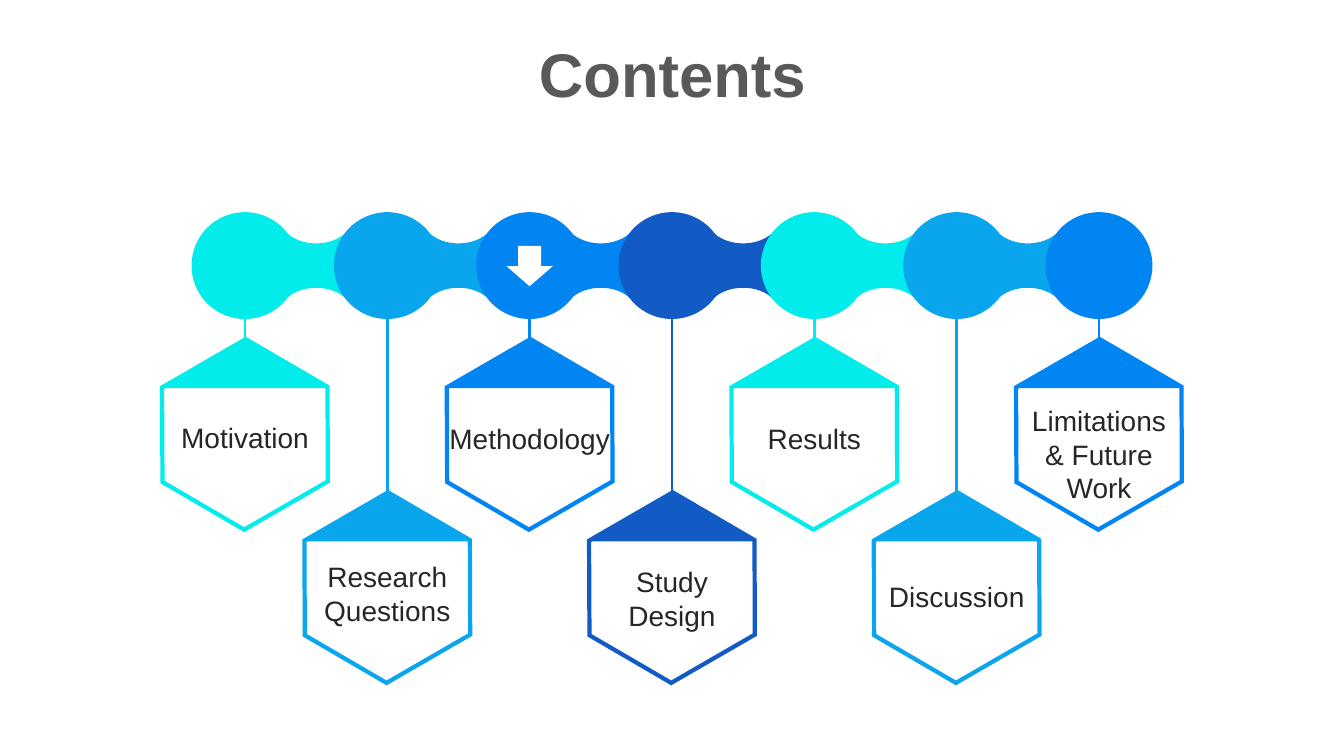
"""Build the contents slide: a chain of seven circles with hanging hexagon labels."""
from lxml import etree
from pptx import Presentation
from pptx import util as u
from pptx.dml.color import RGBColor
from pptx.enum import shapes, text
from pptx.oxml.ns import qn

CYAN = RGBColor(0x02, 0xEC, 0xEC)
SKY = RGBColor(0x0A, 0xA6, 0xED)
AZURE = RGBColor(0x00, 0x85, 0xF2)
NAVY = RGBColor(0x12, 0x5A, 0xC4)
WHITE = RGBColor(0xFF, 0xFF, 0xFF)
INK = RGBColor(0x26, 0x26, 0x26)
GREY = RGBColor(0x59, 0x59, 0x59)

FIRST_COLUMN, LAST_COLUMN = 2.43, 10.9
CHAIN_ROW = 2.635
FIRST_ROW, ROW = 4.31, 1.52
LABEL_FONT = {"name": "Arial", "size": u.Pt(20)}
TITLE_FONT = {"name": "Arial", "size": u.Pt(44), "bold": True}

NECK_TOP = [(-0.43, -0.39), (-0.35, -0.39), (-0.31, -0.34),
            (-0.23, -0.26), (-0.12, -0.22), (0, -0.22),
            (0.12, -0.22), (0.23, -0.26), (0.31, -0.34),
            (0.35, -0.39), (0.43, -0.39)]
NECK_CURVES = (2, 5, 13, 16)

TOPICS = [
    ("Motivation", CYAN, 1, 1.65, 0.03),
    ("Research Questions", SKY, 2, 1.62, 0.06),
    ("Methodology", AZURE, 1, 1.81, 0.04),
    ("Study Design", NAVY, 2, 1.62, 0.11),
    ("Results", CYAN, 1, 1.62, 0.04),
    ("Discussion", SKY, 1, 1.62, 0.09),
    ("Limitations & Future Work", AZURE, 3, 1.62, 0.2),
]


def column_x(column):
    """Return the centre of a column in inches."""
    return FIRST_COLUMN + column * (LAST_COLUMN - FIRST_COLUMN) / (len(TOPICS) - 1)


def row_y(column):
    """Return the centre of the hexagon row used by a column."""
    return FIRST_ROW + column % 2 * ROW


def centred(x, y, width, height):
    """Return left, top, width and height of a box around a centre."""
    return [u.Inches(v) for v in (x - width / 2, y - height / 2, width, height)]


def set_format(target, values):
    """Set each attribute named in values."""
    for name, value in values.items():
        setattr(target, name, value)


def paint(shape, fill, line=None):
    """Give a shape a flat fill and an optional sharp-cornered outline."""
    shape.shadow.inherit = False
    shape.fill.solid()
    shape.fill.fore_color.rgb = fill
    if line is None:
        shape.line.fill.background()
    else:
        shape.line.color.rgb = line
        shape.line.width = u.Pt(3)
        etree.SubElement(shape.line._get_or_add_ln(), qn("a:miter"), lim="800000")


def add_preset(slide, kind, box, fill, line=None):
    """Add a painted preset shape."""
    shape = slide.shapes.add_shape(kind, *box)
    paint(shape, fill, line)
    return shape


def add_neck(slide, column, color):
    """Add the waisted link between a circle and the next one."""
    outline = NECK_TOP + [(-x, -y) for x, y in NECK_TOP]
    middle = column_x(column + 0.5)
    points = [(u.Inches(middle + x), u.Inches(CHAIN_ROW + y)) for x, y in outline]
    builder = slide.shapes.build_freeform(*points[0])
    builder.add_line_segments(points[1:], close=True)
    neck = builder.convert_to_shape()
    segments = list(neck._element.iter(qn("a:lnTo")))
    for start in NECK_CURVES:
        curve = etree.Element(qn("a:cubicBezTo"))
        segments[start].addprevious(curve)
        for segment in segments[start:start + 3]:
            curve.append(segment[0])
            segment.getparent().remove(segment)
    paint(neck, color)


def add_stem(slide, column, color):
    """Add the line from a circle down to its hexagon."""
    x = u.Inches(column_x(column))
    stem = slide.shapes.add_connector(
        shapes.MSO_CONNECTOR.STRAIGHT, x, u.Inches(3.14),
        x, u.Inches(row_y(column) - 0.81))
    stem.line.color.rgb = color
    stem.line.width = u.Pt(2)
    etree.SubElement(stem.line._get_or_add_ln(), qn("a:tailEnd"), type="oval")
    etree.SubElement(stem._element.spPr, qn("a:effectLst"))


def add_hexagon(slide, column, color):
    """Add an outlined hexagon with its filled roof."""
    x, y = column_x(column), row_y(column)
    hexagon = add_preset(slide, shapes.MSO_SHAPE.HEXAGON,
                         centred(x, y, 1.89, 1.63), WHITE, color)
    hexagon.adjustments[0] = 0.286
    hexagon.rotation = 330
    add_preset(slide, shapes.MSO_SHAPE.ISOSCELES_TRIANGLE,
               centred(x, y - 0.7, 1.52, 0.44), color, color)


def add_label(slide, column, wording, lines, width, drop):
    """Add the centred topic name inside a hexagon."""
    height = 0.44 + 0.335 * (lines - 1)
    box = centred(column_x(column), row_y(column) + drop, width, height)
    frame = slide.shapes.add_textbox(*box).text_frame
    set_format(frame, {"word_wrap": True, "text": wording,
                       "auto_size": text.MSO_AUTO_SIZE.SHAPE_TO_FIT_TEXT})
    paragraph = frame.paragraphs[0]
    paragraph.alignment = text.PP_ALIGN.CENTER
    set_format(paragraph.font, LABEL_FONT)
    paragraph.font.color.rgb = INK


def add_title(slide, wording):
    """Place and format the slide title."""
    title = slide.shapes.title
    box = centred(6.67, 0.765, 12.66, 0.79)
    set_format(title, dict(zip(("left", "top", "width", "height"), box)))
    set_format(title.text_frame, {"text": wording, "word_wrap": True,
                                  "auto_size": text.MSO_AUTO_SIZE.NONE,
                                  "vertical_anchor": text.MSO_ANCHOR.MIDDLE})
    paragraph = title.text_frame.paragraphs[0]
    set_format(paragraph, {"alignment": text.PP_ALIGN.CENTER, "line_spacing": 0.9})
    set_format(paragraph.font, TITLE_FONT)
    paragraph.font.color.rgb = GREY


def main():
    """Build and save the slide."""
    deck = Presentation()
    set_format(deck, {"slide_width": u.Inches(13.33), "slide_height": u.Inches(7.5)})
    slide = deck.slides.add_slide(deck.slide_layouts[5])
    add_title(slide, "Contents")
    for column, topic in enumerate(TOPICS[:-1]):
        add_neck(slide, column, topic[1])
    for column, topic in enumerate(TOPICS):
        add_preset(slide, shapes.MSO_SHAPE.OVAL,
                   centred(column_x(column), CHAIN_ROW, 1.06, 1.06), topic[1])
    for column, (wording, color, lines, width, drop) in enumerate(TOPICS):
        add_stem(slide, column, color)
        add_hexagon(slide, column, color)
        add_label(slide, column, wording, lines, width, drop)
    add_preset(slide, shapes.MSO_SHAPE.DOWN_ARROW,
               centred(column_x(2), 2.64, 0.46, 0.4), WHITE)
    deck.save("out.pptx")


if __name__ == "__main__":
    main()
